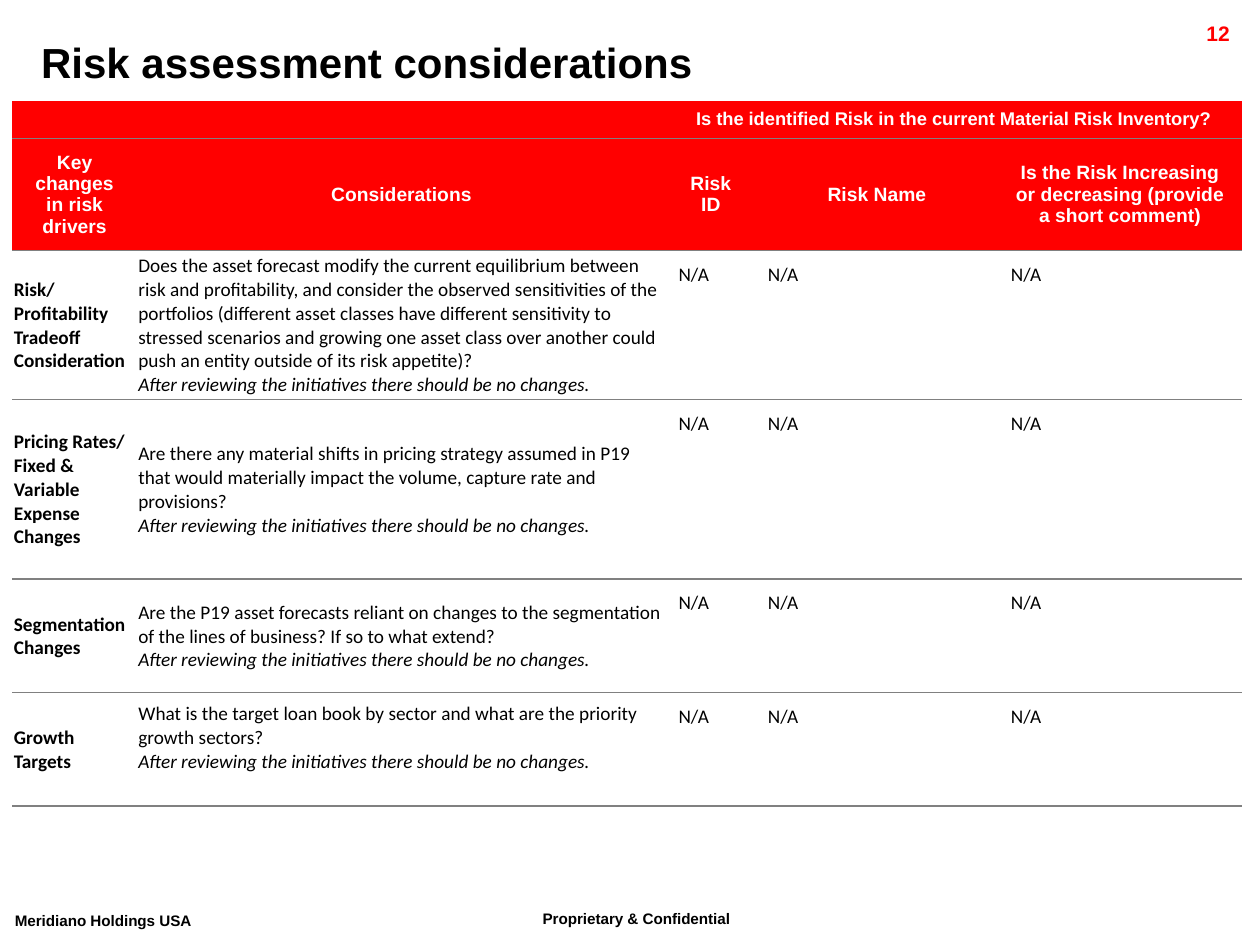
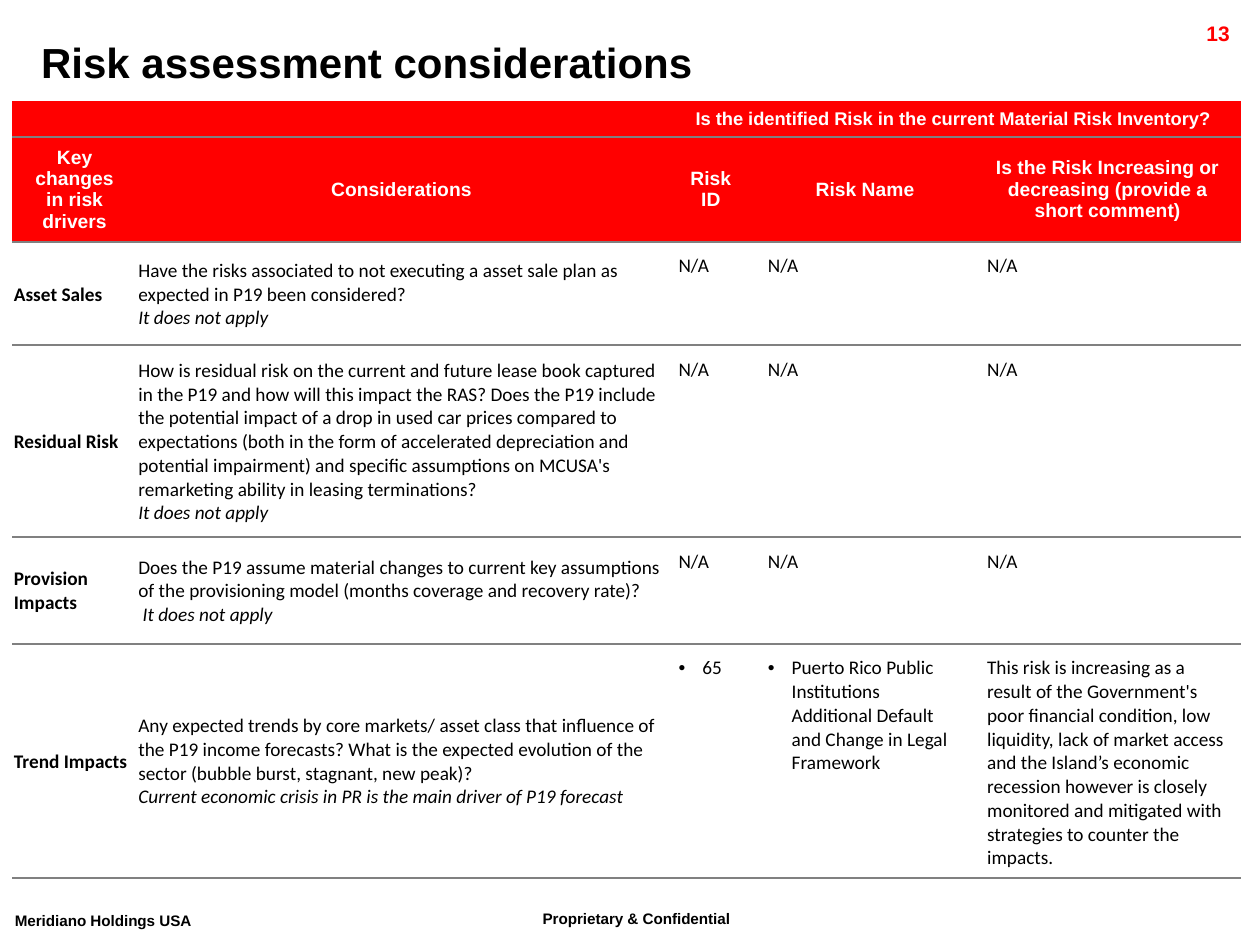
"""Build the two risk assessment consideration slides."""
from dataclasses import dataclass

from lxml import etree
from pptx import Presentation
from pptx import util as u
from pptx.dml.color import RGBColor
from pptx.enum import text
from pptx.oxml.ns import qn


@dataclass(frozen=True)
class Theme:
    red: str = "FF0000"
    white: str = "FFFFFF"
    black: str = "000000"
    grey: str = "808080"
    head_font: str = "Arial"
    body_font: str = "Calibri"
    title: float = 24
    number: float = 12
    footer: float = 15
    band: float = 10.5
    cell: float = 11


T = Theme()
NO_STYLE = "{2D5ABB26-0587-4C30-8999-92F81FD0307C}"
MIDDLE = text.MSO_ANCHOR.MIDDLE
CENTER, RIGHT = text.PP_ALIGN.CENTER, text.PP_ALIGN.RIGHT


def write(tf, words, size=T.cell, color=T.black, font=T.body_font, bold=False,
          italic=False, align=None, bullet=False, raised=False):
    """Put one paragraph of formatted text into a text frame."""
    p = tf.paragraphs[0]
    if p.runs:
        p = tf.add_paragraph()
    tf.word_wrap = True
    if align is not None:
        p.alignment = align
    if bullet:
        pPr = p._p.get_or_add_pPr()
        pPr.set("marL", str(u.Cm(0.48)))
        pPr.set("indent", str(-u.Cm(0.48)))
        etree.SubElement(pPr, qn("a:buFont"), typeface="Arial")
        etree.SubElement(pPr, qn("a:buChar"), char="•")
    if not words:
        etree.SubElement(p._p, qn("a:endParaRPr"), sz=str(int(size * 100)))
        return
    r = p.add_run()
    r.text = words
    r.font.size = u.Pt(size)
    r.font.name = font
    r.font.bold = bold
    r.font.italic = italic
    r.font.color.rgb = RGBColor.from_string(color)
    if raised:
        r._r.get_or_add_rPr().set("baseline", "30000")


def finish(cell, fill):
    """Rule a cell below only and fill it."""
    tcPr = cell._tc.get_or_add_tcPr()
    for side in ("a:lnL", "a:lnR"):
        ln = etree.SubElement(tcPr, qn(side), w="0")
        etree.SubElement(ln, qn("a:noFill"))
    ln = etree.SubElement(tcPr, qn("a:lnB"), w=str(u.Pt(1)))
    solid = etree.SubElement(ln, qn("a:solidFill"))
    etree.SubElement(solid, qn("a:srgbClr"), val=T.grey)
    cell.fill.solid()
    cell.fill.fore_color.rgb = RGBColor.from_string(fill)


BAND = ["", "", "Is the identified Risk in the current Material Risk Inventory?", "", ""]
HEADS = ["Key changes in risk drivers", "Considerations", "Risk ID", "Risk Name",
         "Is the Risk Increasing or decreasing (provide a short comment)"]
NO_CHANGE = "After reviewing the initiatives there should be no changes."
NOT_APPLY = "It does not apply"
NA = ["N/A"] * 3

SLIDES = [
    dict(
        number="12",
        cols=[2.51, 10.67, 1.8, 4.9, 4.9],
        heights=[0.76, 2.26, 3, 3.62, 2.29, 2.29],
        rows=[
            ("Risk/ Profitability Tradeoff Consideration",
             "Does the asset forecast modify the current equilibrium between risk and "
             "profitability, and consider the observed sensitivities of the portfolios "
             "(different asset classes have different sensitivity to stressed scenarios "
             "and growing one asset class over another could push an entity outside of "
             "its risk appetite)?", NO_CHANGE, NA),
            ("Pricing Rates/ Fixed & Variable Expense Changes",
             "Are there any material shifts in pricing strategy assumed in P19 that would "
             "materially impact the volume, capture rate and provisions?", NO_CHANGE, NA),
            ("Segmentation Changes",
             "Are the P19 asset forecasts reliant on changes to the segmentation of the "
             "lines of business? If so to what extend?", NO_CHANGE, NA),
            ("Growth Targets",
             "What is the target loan book by sector and what are the priority growth "
             "sectors?", NO_CHANGE, NA),
        ],
    ),
    dict(
        number="13",
        cols=[2.51, 10.67, 1.8, 4.42, 5.36],
        heights=[0.73, 2.11, 2.08, 3.87, 2.15, 4.72],
        rows=[
            ("Asset Sales",
             "Have the risks associated to not executing a asset sale plan as expected in "
             "P19 been considered?", NOT_APPLY, NA),
            ("Residual Risk",
             "How is residual risk on the current and future lease book captured in the "
             "P19 and how will this impact the RAS? Does the P19 include the potential "
             "impact of a drop in used car prices compared to expectations (both in the "
             "form of accelerated depreciation and potential impairment) and specific "
             "assumptions on MCUSA's remarketing ability in leasing terminations?",
             NOT_APPLY, NA),
            ("Provision Impacts",
             "Does the P19 assume material changes to current key assumptions of the "
             "provisioning model (months coverage and recovery rate)?",
             " " + NOT_APPLY, NA),
            ("Trend Impacts",
             "Any expected trends by core markets/ asset class that influence of the P19 "
             "income forecasts? What is the expected evolution of the sector (bubble "
             "burst, stagnant, new peak)?",
             "Current economic crisis in PR is the main driver of P19 forecast",
             ["• 65",
              "• Puerto Rico Public Institutions Additional Default and Change in Legal "
              "Framework",
              "This risk is increasing as a result of the Government's poor financial "
              "condition, low liquidity, lack of market access and the Island’s economic "
              "recession however is closely monitored and mitigated with strategies to "
              "counter the impacts."]),
        ],
    ),
]

prs = Presentation()
prs.slide_width, prs.slide_height = u.Cm(25.4), u.Cm(19.05)

for page in SLIDES:
    s = prs.slides.add_slide(prs.slide_layouts[6])

    frame_texts = [
        ("Proprietary & Confidential", (10.69, 18.14, 5.54, 0.89),
         dict(size=T.footer, raised=True)),
        ("Meridiano Holdings USA", (0.05, 18.19, 4.85, 0.89),
         dict(size=T.footer, raised=True)),
        (page["number"], (22.63, 0.28, 2.41, 0.61),
         dict(size=T.number, color=T.red, align=RIGHT)),
        ("Risk assessment considerations", (0.58, 0.61, 24.94, 1.27),
         dict(size=T.title)),
    ]
    for words, box, fmt in frame_texts:
        sp = s.shapes.add_textbox(*map(u.Cm, box))
        write(sp.text_frame, words, font=T.head_font, bold=True, **fmt)

    cols, heights = page["cols"], page["heights"]
    sp = s.shapes.add_table(len(heights), len(cols), u.Cm(0.25), u.Cm(2.03),
                            u.Cm(sum(cols)), u.Cm(sum(heights)))
    tbl = sp.table
    tbl.first_row = tbl.horz_banding = False
    tbl._tbl.find(".//" + qn("a:tableStyleId")).text = NO_STYLE
    for col, width in zip(tbl.columns, cols):
        col.width = u.Cm(width)
    for row, height in zip(tbl.rows, heights):
        row.height = u.Cm(height)

    for y, (labels, size) in enumerate([(BAND, T.band), (HEADS, T.cell)]):
        for x, label in enumerate(labels):
            cell = tbl.cell(y, x)
            cell.vertical_anchor = MIDDLE
            write(cell.text_frame, label, size=size, color=T.white,
                  font=T.head_font, bold=True, align=CENTER)
            finish(cell, T.red)
    tbl.cell(0, 0).merge(tbl.cell(0, 1))
    tbl.cell(0, 2).merge(tbl.cell(0, 4))

    for y, (driver, question, reply, answers) in enumerate(page["rows"], start=2):
        for x in range(len(cols)):
            cell = tbl.cell(y, x)
            tf = cell.text_frame
            margin = u.Cm(0.03 if x < 2 else 0.25)
            cell.margin_left = cell.margin_right = cell.margin_top = margin
            cell.margin_bottom = 0 if x < 2 else margin
            if x < 2:
                cell.vertical_anchor = MIDDLE
            if x == 0:
                write(tf, driver, bold=True)
            elif x == 1:
                write(tf, question)
                write(tf, reply, italic=True)
                if driver == "Growth Targets":
                    cell.margin_bottom = u.Cm(0.48)
            else:
                answer = answers[x - 2]
                write(tf, answer.removeprefix("• "), bullet=answer.startswith("•"))
            finish(cell, T.white)

prs.save("out.pptx")
